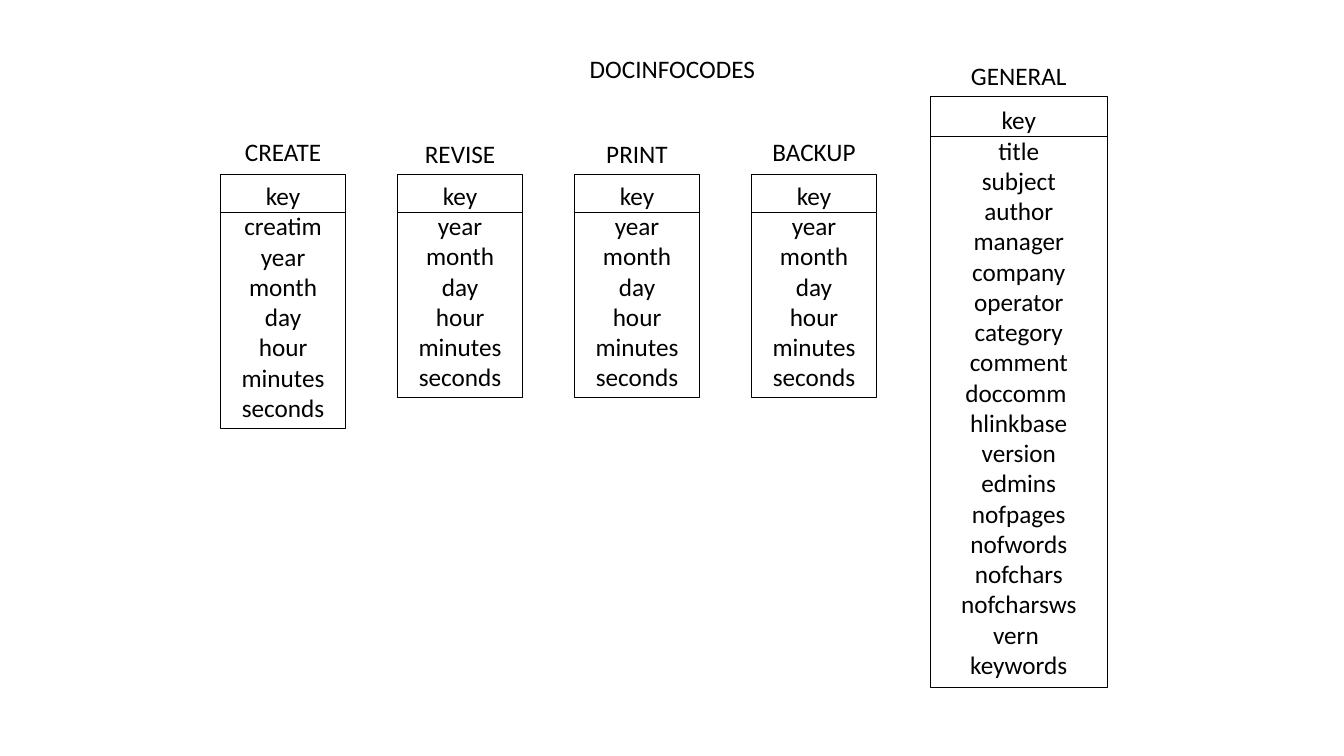
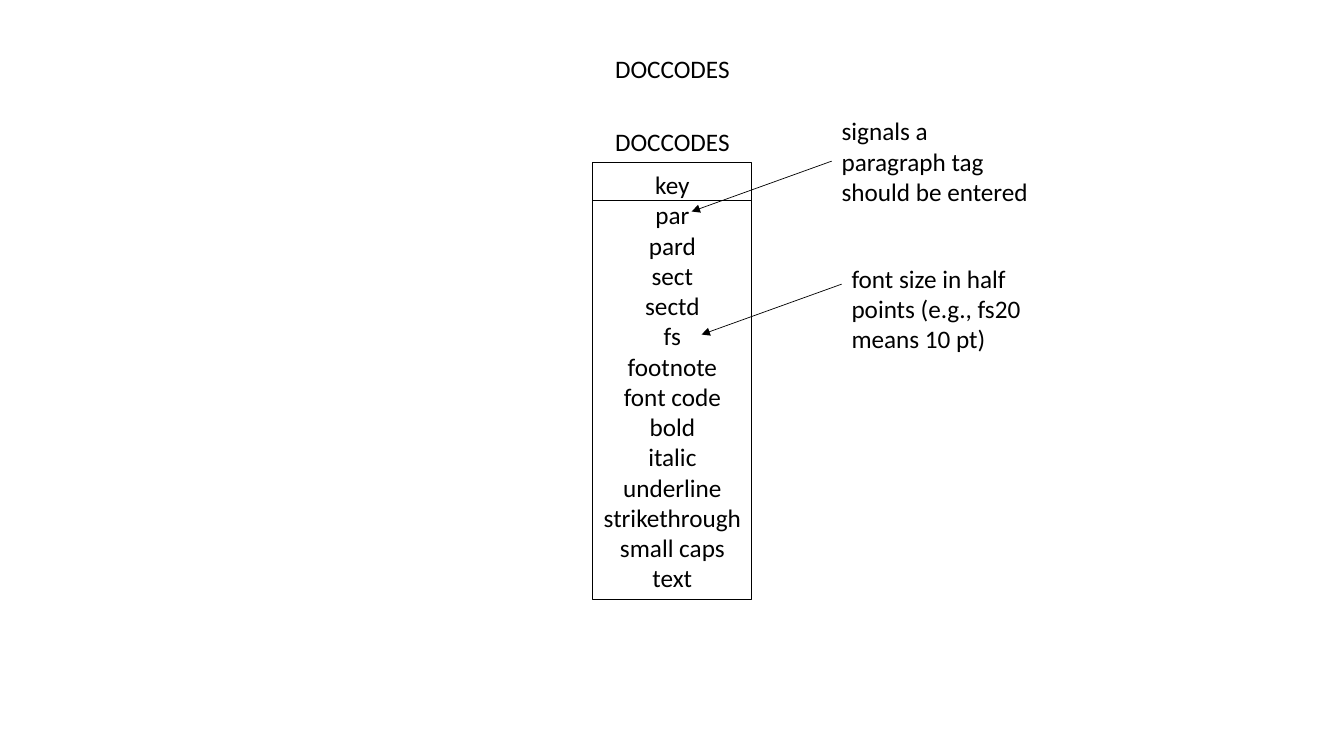
from dataclasses import dataclass

from lxml.etree import SubElement
from pptx import Presentation
from pptx.dml.color import RGBColor
from pptx.enum.shapes import MSO_CONNECTOR, MSO_SHAPE
from pptx.enum.text import MSO_ANCHOR, MSO_AUTO_SIZE, PP_ALIGN
from pptx.oxml.ns import qn
from pptx.shapes.autoshape import Shape
from pptx.shapes.shapetree import GroupShapes, SlideShapes
from pptx.slide import Slide
from pptx.text.text import TextFrame
from pptx.util import Cm, Pt

WIDTH, HEIGHT = 33.87, 19.05
INK = "000000"
FONT, SIZE = "Calibri", 18
LINE, PAD = 0.77, 0.25  # height of one text line, and of both margins
LABEL = 1.02  # height of a one-line label
RUN, DROP = 3.53, 1.27  # reach of an arrow, leftwards and down


@dataclass(frozen=True)
class Card:
    """A boxed list of codes with a label above; a newline breaks a line."""

    label: str
    span: float  # label width
    lift: float  # from box top up to label top
    left: float
    top: float
    width: float
    rows: list[str]
    rule: float = 0.95  # from box top down to the line under the key

    @property
    def height(self) -> float:
        """Box height that holds every line."""
        return PAD + LINE * sum(len(row.split("\n")) for row in self.rows)


@dataclass(frozen=True)
class Note:
    """A remark with an arrow from its left edge to a code."""

    left: float
    top: float
    width: float
    start: float  # from note top down to the arrow
    rows: list[str]


def paint(code: str) -> RGBColor:
    """Turn a hex string into a colour."""
    return RGBColor.from_string(code)


def write(frame: TextFrame, rows: list[str], align: PP_ALIGN, wrap: bool,
          fit: MSO_AUTO_SIZE = MSO_AUTO_SIZE.SHAPE_TO_FIT_TEXT) -> None:
    """Fill a frame, one paragraph a row and one run a line."""
    frame.word_wrap = wrap
    frame.auto_size = fit
    for i, row in enumerate(rows):
        para = frame.paragraphs[0] if i == 0 else frame.add_paragraph()
        para.alignment = align
        for j, line in enumerate(row.split("\n")):
            if j:
                para.add_line_break()
            run = para.add_run()
            run.text = line
            run.font.name = FONT
            run.font.size = Pt(SIZE)
            run.font.color.rgb = paint(INK)


def place(shape: Shape, left: float, top: float, width: float, height: float) -> None:
    """Move and size a shape."""
    shape.left, shape.top = Cm(left), Cm(top)
    shape.width, shape.height = Cm(width), Cm(height)


def add_text(shapes: SlideShapes, rows: list[str], left: float, top: float,
             width: float, height: float, align: PP_ALIGN, wrap: bool) -> None:
    """Add a text box."""
    box = shapes.add_textbox(Cm(left), Cm(top), Cm(width), Cm(height))
    write(box.text_frame, rows, align, wrap)


def add_line(shapes: SlideShapes | GroupShapes, start: tuple[float, float],
             end: tuple[float, float], arrow: bool = False) -> None:
    """Add a thin line, with an arrowhead at its end if asked."""
    line = shapes.add_connector(MSO_CONNECTOR.STRAIGHT, Cm(start[0]), Cm(start[1]),
                                Cm(end[0]), Cm(end[1]))
    line.line.color.rgb = paint(INK)
    line.line.width = Pt(0.5)
    props = line.element.spPr
    if arrow:
        SubElement(props.find(qn("a:ln")), qn("a:tailEnd"), type="triangle")
    SubElement(props, qn("a:effectLst"))


def add_card(shapes: SlideShapes | GroupShapes, card: Card, wrap: bool) -> None:
    """Add the box of a card and the line under its key."""
    box = shapes.add_shape(MSO_SHAPE.RECTANGLE, Cm(card.left), Cm(card.top),
                           Cm(card.width), Cm(card.height))
    box.shadow.inherit = False
    box.fill.background()
    box.line.color.rgb = paint(INK)
    box.line.width = Pt(0.75)
    box.text_frame.vertical_anchor = MSO_ANCHOR.MIDDLE
    write(box.text_frame, card.rows, PP_ALIGN.CENTER, wrap)
    level = card.top + card.rule
    add_line(shapes, (card.left, level), (card.left + card.width, level))


def add_label(shapes: SlideShapes, card: Card) -> None:
    """Centre the label of a card above its box."""
    left = card.left + (card.width - card.span) / 2
    add_text(shapes, [card.label], left, card.top - card.lift, card.span, LABEL,
             PP_ALIGN.CENTER, False)


def add_note(shapes: SlideShapes, note: Note) -> None:
    """Add a remark and its arrow."""
    level = note.top + note.start
    add_line(shapes, (note.left, level), (note.left - RUN, level + DROP), True)
    add_text(shapes, note.rows, note.left, note.top, note.width,
             PAD + LINE * len(note.rows), PP_ALIGN.LEFT, True)


def add_page(deck: Presentation, title: str, span: float) -> Slide:
    """Add a title-only slide with its title centred near the top."""
    page = deck.slides.add_slide(deck.slide_layouts[5])
    head = page.shapes.title
    place(head, (WIDTH - span) / 2 + 0.01, 1.22, span, LABEL)
    head.text_frame.vertical_anchor = MSO_ANCHOR.TOP
    write(head.text_frame, [title], PP_ALIGN.CENTER, False, MSO_AUTO_SIZE.NONE)
    return page


TIME = ["month", "day", "hour", "minutes", "seconds"]
STAMP = ["key\nyear", *TIME]
HEADS = [
    ("CREATE", 2.44, 1.07, ["key", "creatim\nyear", *TIME]),
    ("REVISE", 2.31, 1.04, STAMP),
    ("PRINT", 2.08, 1.02, STAMP),
    ("BACKUP", 2.62, 1.07, STAMP),
]
INFO = [
    Card(label, span, lift, 5.56 + 4.46 * i, 4.39, 3.15, rows)
    for i, (label, span, lift, rows) in enumerate(HEADS)
]
INFO.append(Card("GENERAL", 2.95, 1.04, 23.44, 2.44, 4.47, [
    "key", "title", "subject", "author", "manager", "company\noperator",
    "category", "comment", "doccomm \nhlinkbase", "version", "edmins",
    "nofpages\nnofwords", "nofchars", "nofcharsws", "vern ", "keywords",
], 1.0))

CODES = Card("DOCCODES", 3.43, 1.02, 14.94, 4.09, 4.01, [
    "key", "par", "pard", "sect", "sectd", "fs", "footnote", "font code",
    "bold", "italic", "underline", "strikethrough", "small caps", "text",
])
NOTES = [
    Note(20.96, 2.79, 5.26, 1.27,
         ["signals a ", "paragraph tag", "should be entered"]),
    Note(21.21, 6.5, 4.83, 0.66,
         ["font size in half", "points (e.g., fs20", "means 10 pt)"]),
]


def draw_info(deck: Presentation) -> None:
    """Draw the slide of document information codes."""
    shapes = add_page(deck, "DOCINFOCODES", 4.72).shapes
    for card in INFO:
        add_card(shapes.add_group_shape().shapes, card, True)
    for card in INFO:
        add_label(shapes, card)


def draw_codes(deck: Presentation) -> None:
    """Draw the slide of document codes."""
    shapes = add_page(deck, "DOCCODES", 3.43).shapes
    add_card(shapes, CODES, False)
    add_label(shapes, CODES)
    for note in NOTES:
        add_note(shapes, note)


def main() -> None:
    """Build and save the deck."""
    deck = Presentation()
    deck.slide_width, deck.slide_height = Cm(WIDTH), Cm(HEIGHT)
    draw_info(deck)
    draw_codes(deck)
    deck.save("out.pptx")


main()
